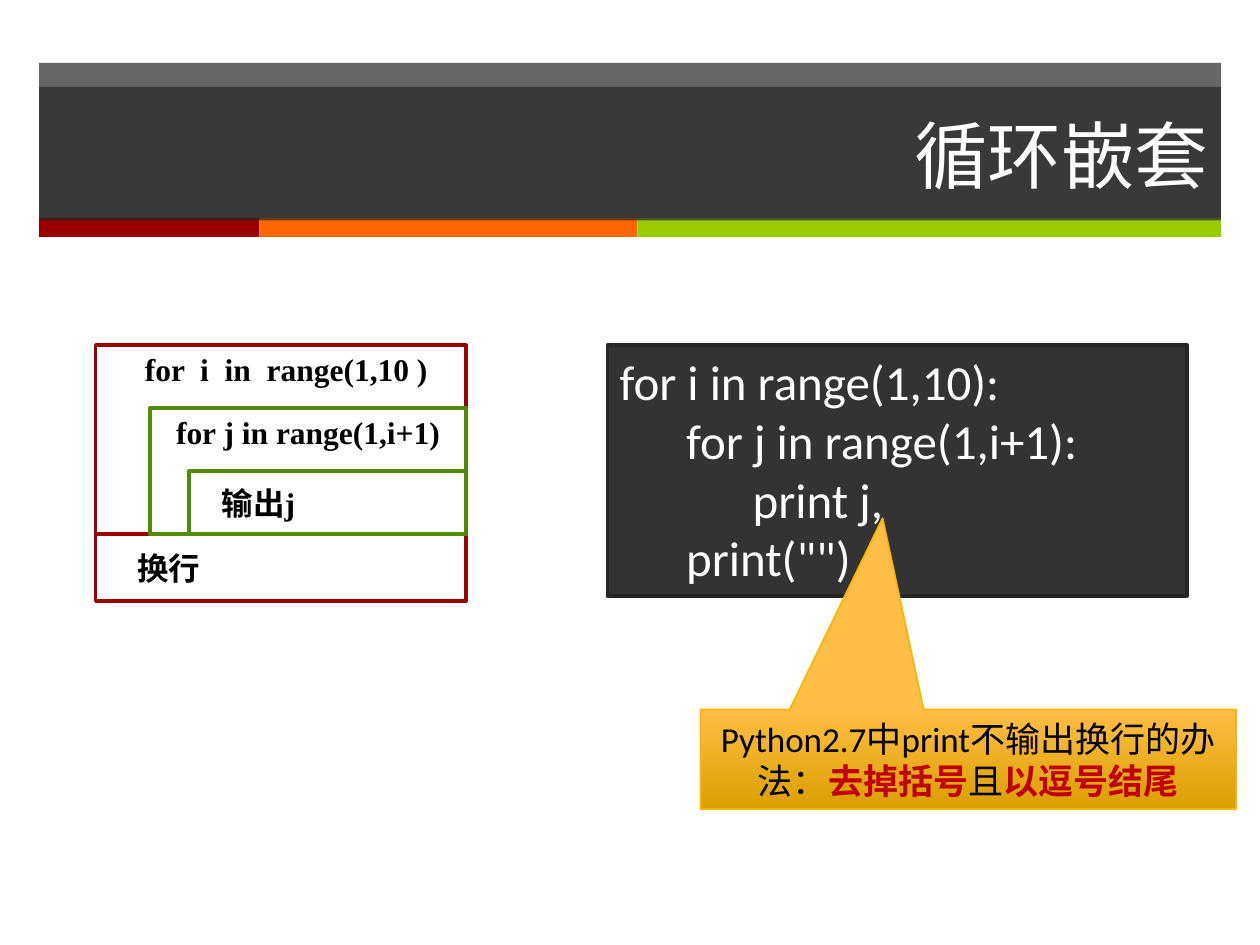
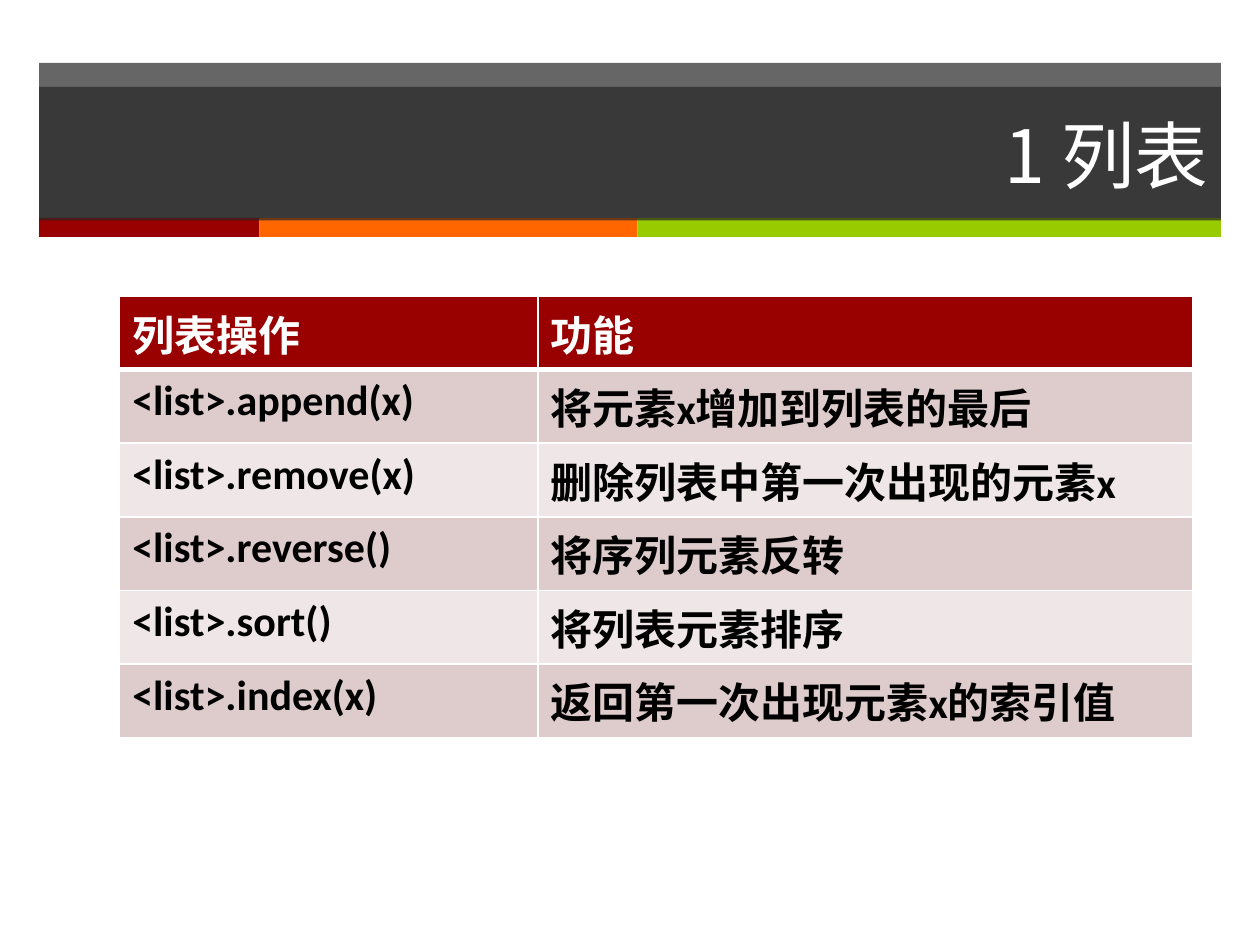
from lxml.etree import SubElement
from pptx import Presentation
from pptx.dml.color import RGBColor
from pptx.enum.shapes import MSO_SHAPE as Shape
from pptx.enum.text import MSO_ANCHOR as Anchor, PP_ALIGN as Align
from pptx.oxml.ns import qn
from pptx.util import Inches, Pt

WHITE = RGBColor(0xFF, 0xFF, 0xFF)
BLACK = RGBColor(0x00, 0x00, 0x00)
CHARCOAL = RGBColor(0x26, 0x26, 0x26)
CODE_GRAY = RGBColor(0x33, 0x33, 0x33)
RED = RGBColor(0x99, 0x00, 0x00)
ORANGE = RGBColor(0xFF, 0x66, 0x00)
LIME = RGBColor(0x99, 0xCC, 0x00)
GREEN = RGBColor(0x52, 0x8A, 0x02)
EMPHASIS = RGBColor(0xC0, 0x00, 0x00)
AMBER_DARK = RGBColor(0xDA, 0x9F, 0x00)
AMBER_LIGHT = RGBColor(0xFF, 0xBE, 0x45)
AMBER_LINE = RGBColor(0xF9, 0xB6, 0x00)
ROW_FILLS = (RGBColor(0xDE, 0xCC, 0xCC), RGBColor(0xEF, 0xE7, 0xE7))

BODY, CHINESE, SERIF = "Calibri", "Noto Sans CJK SC", "Times New Roman"

BAND_LEFT, BAND_WIDTH = 0.31, 9.38
STRIPES = [(RED, 1.75), (ORANGE, 3), (LIME, 4.63)]

LOOP_TITLE = "循环嵌套"
CODE_LINES = [
    "for i in range(1,10):",
    "      for j in range(1,i+1):",
    "            print j,",
    '      print("")',
]
CALLOUT_RUNS = [
    ("Python2.7中print不输出换行的办法：", BLACK, False),
    ("去掉括号", EMPHASIS, True),
    ("且", BLACK, False),
    ("以逗号结尾", EMPHASIS, True),
]
# Nested boxes share a right edge and step down in half-inch rows:
# text, left, row, height, line colour, alignment, indent, anchor
LOOP_RIGHT, LOOP_TOP, LOOP_ROW = 3.7, 2.74, 0.5
LOOP_BOXES = [
    ("for  i  in  range(1,10 )", 0.76, 0, 1.5, RED, Align.LEFT, 0.31, Anchor.TOP),
    ("换行", 0.76, 3, 0.53, RED, Align.LEFT, 0.25, Anchor.MIDDLE),
    ("for j in range(1,i+1)", 1.19, 1, 1, GREEN, Align.CENTER, 0, Anchor.TOP),
    ("输出j", 1.5, 2, 0.5, GREEN, Align.LEFT, 0.18, Anchor.MIDDLE),
]

LIST_TITLE = "1 列表"
LIST_COLUMNS = (3.32, 5.2)
LIST_ROWS = [
    ("列表操作", "功能"),
    ("<list>.append(x)", "将元素x增加到列表的最后"),
    ("<list>.remove(x)", "删除列表中第一次出现的元素x"),
    ("<list>.reverse()", "将序列元素反转"),
    ("<list>.sort()", "将列表元素排序"),
    ("<list>.index(x)", "返回第一次出现元素x的索引值"),
]


def add_run(paragraph, text, size, color, bold=False, font=BODY):
    run = paragraph.add_run()
    run.text = text
    run.font.size, run.font.bold, run.font.name = Pt(size), bold, font
    run.font.color.rgb = color
    SubElement(run.font._element, qn("a:ea"), typeface=CHINESE)


def fill_solid(shape, color, opacity=100):
    shape.fill.solid()
    shape.fill.fore_color.rgb = color
    if opacity < 100:
        color_element = shape._element.spPr.find(".//" + qn("a:srgbClr"))
        SubElement(color_element, qn("a:alpha"), val=str(opacity * 1000))


def add_box(slide, left, top, width, height, color, line=None, line_width=2,
            kind=Shape.RECTANGLE, opacity=100):
    shape = slide.shapes.add_shape(
        kind, Inches(left), Inches(top), Inches(width), Inches(height))
    shape.shadow.inherit = False
    fill_solid(shape, color, opacity)
    if line is None:
        shape.line.fill.background()
    else:
        shape.line.color.rgb = line
        shape.line.width = Pt(line_width)
    shape.text_frame.word_wrap = True
    return shape


def move_bands_to_layout(slide):
    """Draw the header bands once and let every slide inherit them."""
    layout = slide.slide_layout
    for placeholder in list(layout.placeholders)[1:]:
        layout.shapes._spTree.remove(placeholder._element)
    bands = [add_box(slide, BAND_LEFT, 0.5, BAND_WIDTH, 1.24, CHARCOAL, opacity=70)]
    left = BAND_LEFT
    for color, width in STRIPES:
        bands.append(add_box(slide, left, 1.73, width, 0.15, color))
        left += width
    for band in bands:
        layout.shapes._spTree.append(band._element)


def add_titled_slide(presentation, text):
    slide = presentation.slides.add_slide(presentation.slide_layouts[5])
    title = slide.shapes.title
    title.left, title.top = Inches(BAND_LEFT), Inches(0.69)
    title.width, title.height = Inches(BAND_WIDTH), Inches(1.06)
    fill_solid(title, CHARCOAL, 70)
    title.text_frame.vertical_anchor = Anchor.MIDDLE
    paragraph = title.text_frame.paragraphs[0]
    paragraph.alignment = Align.RIGHT
    add_run(paragraph, text, 42, WHITE, font=CHINESE)
    return slide


def add_code(slide):
    frame = add_box(slide, 4.82, LOOP_TOP, 4.6, 1.99, CODE_GRAY, CHARCOAL).text_frame
    frame.vertical_anchor = Anchor.TOP
    for index, line in enumerate(CODE_LINES):
        paragraph = frame.add_paragraph() if index else frame.paragraphs[0]
        paragraph.alignment = Align.LEFT
        add_run(paragraph, line, 28, WHITE)


def add_callout(slide):
    callout = add_box(slide, 5.56, 5.63, 4.25, 0.79, AMBER_LIGHT, AMBER_LINE, 1,
                      Shape.RECTANGULAR_CALLOUT)
    callout.adjustments[0], callout.adjustments[1] = -0.16, -2.42
    callout.fill.gradient()
    callout.fill.gradient_angle = 90
    for stop, color in zip(callout.fill.gradient_stops, (AMBER_DARK, AMBER_LIGHT)):
        stop.color.rgb = color
    callout.text_frame.vertical_anchor = Anchor.MIDDLE
    paragraph = callout.text_frame.paragraphs[0]
    paragraph.alignment = Align.CENTER
    for text, color, bold in CALLOUT_RUNS:
        add_run(paragraph, text, 20, color, bold)


def add_loop_diagram(slide):
    for text, left, row, height, line, alignment, indent, anchor in LOOP_BOXES:
        box = add_box(slide, left, LOOP_TOP + row * LOOP_ROW, LOOP_RIGHT - left,
                      height, WHITE, line)
        frame = box.text_frame
        frame.vertical_anchor = anchor
        frame.margin_left = Inches(0.08 + indent)
        frame.margin_right = Inches(0.08)
        frame.margin_top = frame.margin_bottom = Inches(0.04)
        paragraph = frame.paragraphs[0]
        paragraph.alignment = alignment
        add_run(paragraph, text, 18, BLACK, True, SERIF)


def set_borders(cell, top, bottom):
    properties = cell._tc.get_or_add_tcPr()
    for side, width in (("L", 1), ("R", 1), ("T", top), ("B", bottom)):
        line = SubElement(properties, qn(f"a:ln{side}"), w=str(Pt(width)))
        SubElement(SubElement(line, qn("a:solidFill")), qn("a:srgbClr"), val=str(WHITE))


def add_list_table(slide):
    table = slide.shapes.add_table(
        len(LIST_ROWS), len(LIST_COLUMNS), Inches(0.95), Inches(2.35),
        Inches(sum(LIST_COLUMNS)), Inches(3)).table
    for column, width in zip(table.columns, LIST_COLUMNS):
        column.width = Inches(width)
    for row, texts in enumerate(LIST_ROWS):
        for column, text in enumerate(texts):
            cell = table.cell(row, column)
            set_borders(cell, 3 if row == 1 else 1, 3 if row == 0 else 1)
            cell.fill.solid()
            cell.fill.fore_color.rgb = ROW_FILLS[(row - 1) % 2] if row else RED
            add_run(cell.text_frame.paragraphs[0], text, 24,
                    BLACK if row else WHITE, True)


def main():
    presentation = Presentation()
    presentation.slide_width, presentation.slide_height = Inches(10), Inches(7.5)

    loop_slide = add_titled_slide(presentation, LOOP_TITLE)
    move_bands_to_layout(loop_slide)
    add_code(loop_slide)
    add_callout(loop_slide)
    add_loop_diagram(loop_slide)

    list_slide = add_titled_slide(presentation, LIST_TITLE)
    add_list_table(list_slide)

    presentation.save("out.pptx")


if __name__ == "__main__":
    main()
